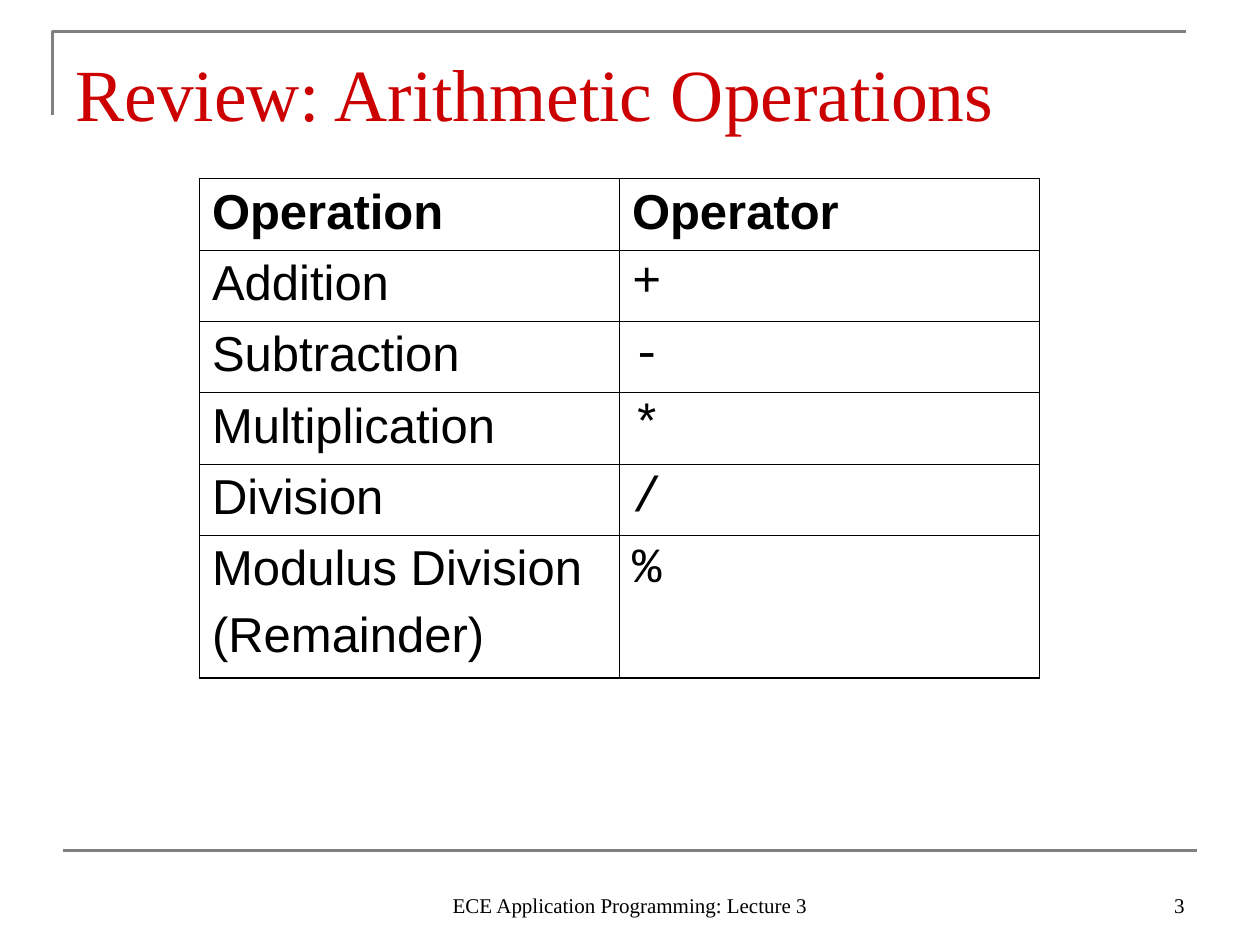
import lxml.etree
import pptx
import pptx.dml.color
import pptx.enum.shapes
import pptx.enum.text
import pptx.oxml.ns
import pptx.util

PX = 7620  # EMU per px, 120 px to the inch
RGB = pptx.dml.color.RGBColor.from_string
ALIGN = pptx.enum.text.PP_ALIGN
BOTTOM = pptx.enum.text.MSO_ANCHOR.BOTTOM
qn = pptx.oxml.ns.qn

THEME = {
    "title": RGB("CC0000"), "text": RGB("000000"), "rule": RGB("808080"),
    "serif": "Times New Roman", "sans": "Arial", "mono": "Courier New",
    "title_size": 42, "table_size": 28, "footer_size": 12,
    "rule_width": 1.5, "outer_border": 1.08, "inner_border": 0.45,
}


def set_font(p, name, size, color, bold=False):
    p.font.name = name
    p.font.size = pptx.util.Pt(size)
    p.font.color.rgb = color
    p.font.bold = bold


def add_border(cell, side, width):
    tcPr = cell._tc.get_or_add_tcPr()
    ln = lxml.etree.SubElement(tcPr, qn("a:ln" + side), w=str(pptx.util.Pt(width)))
    fill = lxml.etree.SubElement(ln, qn("a:solidFill"))
    lxml.etree.SubElement(fill, qn("a:srgbClr"), val=str(THEME["text"]))


prs = pptx.Presentation()
prs.slide_width, prs.slide_height = 1200 * PX, 900 * PX
s = prs.slides.add_slide(prs.slide_layouts[5])

# Corner line around the title
builder = s.shapes.build_freeform(50, 110, scale=PX)
builder.add_line_segments([(50, 30), (1130, 30)], close=False)
corner = builder.convert_to_shape()
corner.shadow.inherit = False
corner.fill.background()

# Line above the footer
rule = s.shapes.add_connector(
    pptx.enum.shapes.MSO_CONNECTOR.STRAIGHT, 60 * PX, 810 * PX, 1140 * PX, 810 * PX)
lxml.etree.SubElement(rule._element.spPr, qn("a:effectLst"))
for sp in (corner, rule):
    sp.line.color.rgb = THEME["rule"]
    sp.line.width = pptx.util.Pt(THEME["rule_width"])

# Title
title = s.shapes.title
title.left, title.top, title.width, title.height = 60 * PX, 36 * PX, 1080 * PX, 94 * PX
tf = title.text_frame
tf.text = "Review: Arithmetic Operations"
tf.auto_size = pptx.enum.text.MSO_AUTO_SIZE.NONE
tf.vertical_anchor = BOTTOM
tf.margin_bottom = 0
p = tf.paragraphs[0]
p.alignment = ALIGN.LEFT
set_font(p, THEME["serif"], THEME["title_size"], THEME["title"])

# Table of operations
rows = [
    ("Operation", "Operator"),
    ("Addition", "+"),
    ("Subtraction", "-"),
    ("Multiplication", "*"),
    ("Division", "/"),
    ("Modulus Division\n(Remainder)", "%"),
]
last = len(rows) - 1
table = s.shapes.add_table(len(rows), 2, 190 * PX, 170 * PX, 800 * PX, 476 * PX).table
table.first_row = table.horz_banding = False
for i, row in enumerate(rows):
    table.rows[i].height = (136 if i == last else 68) * PX
    for j, text in enumerate(row):
        cell = table.cell(i, j)
        cell.text = text
        outer = {"L": j == 0, "R": j == 1, "T": i == 0, "B": i == last}
        for side, is_outer in outer.items():
            add_border(cell, side, THEME["outer_border" if is_outer else "inner_border"])
        cell.fill.background()
        face = THEME["mono" if i > 0 and j == 1 else "sans"]
        for k, p in enumerate(cell.text_frame.paragraphs):
            if k > 0:
                p.space_before = pptx.util.Pt(7)
            set_font(p, face, THEME["table_size"], THEME["text"], bold=i == 0)

# Footer and slide number
for text, left, width, align in [
    ("ECE Application Programming: Lecture 3", 410, 380, ALIGN.CENTER),
    ("3", 860, 280, ALIGN.RIGHT),
]:
    tf = s.shapes.add_textbox(left * PX, 820 * PX, width * PX, 60 * PX).text_frame
    tf.word_wrap = True
    tf.vertical_anchor = BOTTOM
    tf.text = text
    p = tf.paragraphs[0]
    p.alignment = align
    set_font(p, THEME["serif"], THEME["footer_size"], THEME["text"])

prs.save("out.pptx")
